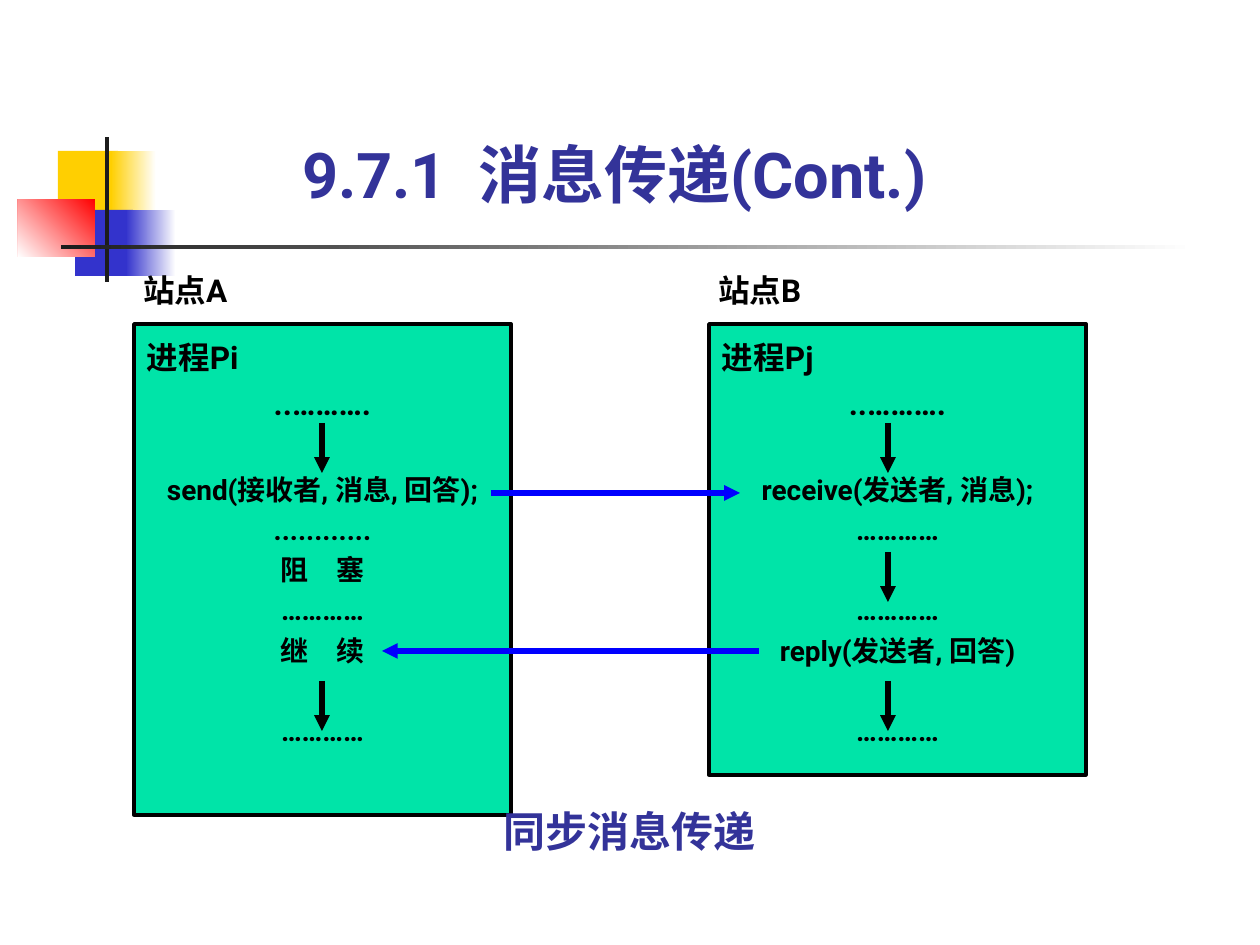
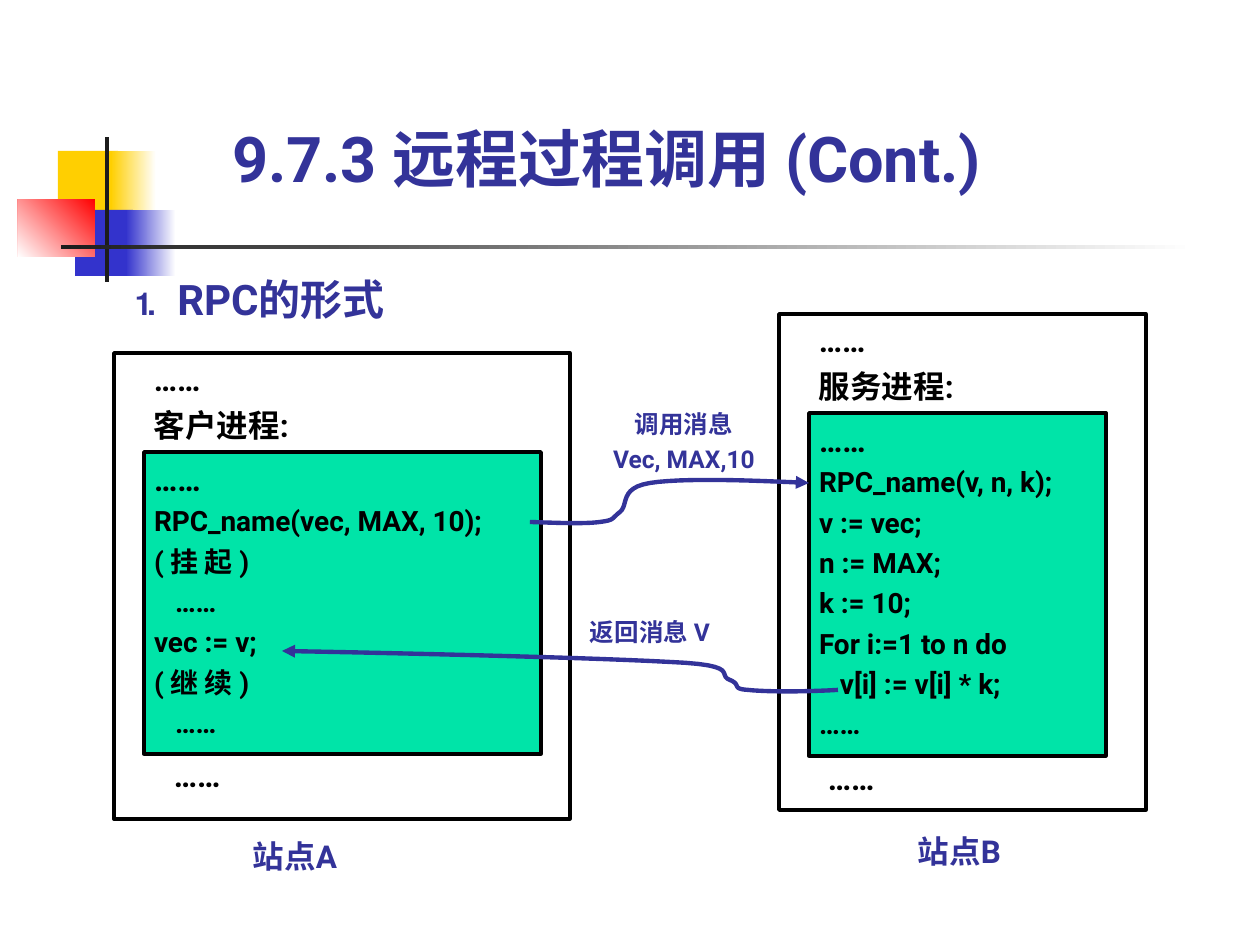
from pptx import Presentation
from pptx.dml.color import RGBColor
from pptx.enum.shapes import MSO_CONNECTOR, MSO_SHAPE
from pptx.enum.text import MSO_ANCHOR, MSO_AUTO_SIZE, PP_ALIGN
from pptx.oxml.xmlchemy import OxmlElement
from pptx.util import Inches, Pt

PX = Inches(1) / 126
FONT, SERIF = "Roboto", "Times New Roman"
NAVY, BLACK, BLUE, GREEN = "333399", "000000", "0000FF", "00E4A8"
WHITE, YELLOW, VIOLET, RED, DARK = "FFFFFF", "FFCF01", "3333CC", "FF0000", "1C1C1C"
LEFT, CENTER = PP_ALIGN.LEFT, PP_ALIGN.CENTER

BANDS = [
    ((58, 151, 60, 66), YELLOW, None),
    ((111, 151, 45, 66), (WHITE, YELLOW), 180),
    ((75, 210, 58, 66), VIOLET, None),
    ((126, 210, 50, 66), (WHITE, VIOLET), 180),
    ((18, 199, 77, 58), (RED, WHITE), 225),
    ((105, 137, 4, 145), DARK, None),
    ((61, 245, 1134, 4), (WHITE, DARK), 180),
]

MESSAGE_TITLE = [("9.7.1  消息传递(Cont.)", FONT)]
CALL_TITLE = [("9.7.3 ", FONT), ("远程过程调用 ", SERIF), ("(Cont.)", FONT)]


def line(text, size=16, align=LEFT, indent=0, before=0):
    return dict(text=text, size=size, align=align, indent=indent, before=before)


def mid(text, size=16, before=0):
    return line(text, size, CENTER, before=before)


BLANK_18, BLANK_16 = 25, 23
STATIONS = [
    dict(label="站点A", x=134, height=491, arrow_x=322, arrows=[423, 681], lines=[
        line("进程Pi", 18, indent=5), mid("..……….", 18),
        mid("send(接收者, 消息, 回答);", before=BLANK_18),
        mid("............"), mid("阻　塞"), mid("…………"), mid("继　续"),
        mid("…………", before=BLANK_16)]),
    dict(label="站点B", x=709, height=451, arrow_x=888, arrows=[423, 552, 681], lines=[
        line("进程Pj", 18, indent=5), mid("..……….", 18),
        mid("receive(发送者, 消息);", before=BLANK_18),
        mid("…………"), mid("…………", before=BLANK_16), mid("reply(发送者, 回答)"),
        mid("…………", before=BLANK_16)]),
]
MESSAGES = [((491, 493), (740, 493)), ((759, 651), (382, 651))]

PROCESSES = [
    dict(site="站点A", name="客户进程:", outer=(114, 353, 456, 466), inner=(397, 302),
         tail=(174, 748), label=(253, 829), lines=[
             line("……", 18), line("RPC_name(vec, MAX, 10);"), line("( 挂 起 )"),
             line("……", indent=21), line("vec := v;"), line("( 继 续 )"),
             line("……", indent=21)]),
    dict(site="站点B", name="服务进程:", outer=(779, 314, 367, 496), inner=(297, 343),
         tail=(828, 751), label=(918, 824), lines=[
             line("……", 18), line("RPC_name(v, n, k);"), line("v := vec;"),
             line("n := MAX;"), line("k := 10;"), line("For i:=1 to n do"),
             line("v[i] := v[i] * k;", indent=21), line("……")]),
]
NOTES = [
    ((590, 403, 188, 71), [mid("调用消息", 14), mid("Vec, MAX,10", 14)]),
    ((590, 611, 139, 35), [line("返回消息 V", 14)]),
]
CALL_CURVE = [(530, 522), (558, 523), (585, 524), (600, 522), (615, 520), (611, 519),
              (620, 512), (629, 505), (619, 488), (650, 483), (682, 478), (745, 480),
              (809, 483)]
RETURN_CURVE = [(838, 690), (803, 692), (767, 692), (748, 690), (731, 689), (742, 685),
                (730, 680), (716, 675), (743, 665), (669, 662), (595, 658), (438, 654),
                (282, 651)]


def px(*values):
    return [round(v * PX) for v in values]


def rgb(hex_text):
    return RGBColor.from_string(hex_text)


def write(sp, lines, color=BLACK, spacing=1.2, insets=(0, 0, 0, 0), wrap=True,
          anchor=MSO_ANCHOR.TOP):
    tf = sp.text_frame
    tf.auto_size = MSO_AUTO_SIZE.NONE
    tf.word_wrap = wrap
    tf.vertical_anchor = anchor
    tf.margin_left, tf.margin_top, tf.margin_right, tf.margin_bottom = px(*insets)
    for i, item in enumerate(lines):
        p = tf.paragraphs[0] if i == 0 else tf.add_paragraph()
        pPr = p._p.get_or_add_pPr()
        pPr.set("marL", str(px(item["indent"])[0]))
        pPr.set("indent", "0")
        pPr.append(OxmlElement("a:buNone"))
        p.alignment = item["align"]
        p.line_spacing = spacing
        p.space_before = Pt(item["before"])
        runs = item["text"]
        for text, font in [(runs, FONT)] if isinstance(runs, str) else runs:
            r = p.add_run()
            r.text = text
            r.font.name = font
            r.font.size = Pt(item["size"])
            r.font.bold = True
            r.font.color.rgb = rgb(color)


def place(sp, box):
    sp.left, sp.top, sp.width, sp.height = px(*box)


def add_text(s, box, lines, **style):
    write(s.shapes.add_textbox(*px(*box)), lines, **style)


def add_box(s, box, fill=None, border=None):
    sp = s.shapes.add_shape(MSO_SHAPE.RECTANGLE, *px(*box))
    sp.shadow.inherit = False
    if fill:
        sp.fill.solid()
        sp.fill.fore_color.rgb = rgb(fill)
    else:
        sp.fill.background()
    if border:
        sp.line.color.rgb = rgb(border)
        sp.line.width = Pt(2)
    else:
        sp.line.fill.background()
    return sp


def set_arrow(sp, color, width):
    sp.line.color.rgb = rgb(color)
    sp.line.width = Pt(width)
    end = OxmlElement("a:tailEnd")
    end.set("type", "triangle")
    sp.line._get_or_add_ln().append(end)


def add_arrow(s, start, end, color):
    sp = s.shapes.add_connector(MSO_CONNECTOR.STRAIGHT, *px(*start, *end))
    set_arrow(sp, color, 3)
    sp._element.spPr.append(OxmlElement("a:effectLst"))


def add_curve(s, points, steps=12):
    track = []
    for i in range(0, len(points) - 1, 3):
        for n in range(1, steps + 1):
            t = n / steps
            weights = ((1 - t) ** 3, 3 * t * (1 - t) ** 2, 3 * t * t * (1 - t), t ** 3)
            knots = points[i:i + 4]
            track.append(px(*(sum(w * k[axis] for w, k in zip(weights, knots))
                              for axis in (0, 1))))
    builder = s.shapes.build_freeform(*px(*points[0]))
    builder.add_line_segments(track, close=False)
    sp = builder.convert_to_shape()
    sp.shadow.inherit = False
    sp.fill.background()
    set_arrow(sp, NAVY, 2.5)


def add_bands(prs, s):
    tree = prs.slide_master.element.cSld.spTree
    for i, (box, color, angle) in enumerate(BANDS):
        sp = add_box(s, box, color if angle is None else None)
        if angle is not None:
            sp.fill.gradient()
            sp.fill.gradient_angle = angle
            for stop, shade in zip(sp.fill.gradient_stops, color):
                stop.color.rgb = rgb(shade)
        sp._element.nvSpPr.cNvPr.set("id", str(100 + i))
        tree.insert(2 + i, sp._element)


def add_title(s, box, runs, spacing):
    place(s.shapes.title, box)
    write(s.shapes.title, [line(runs, 36)], color=NAVY, spacing=spacing,
          anchor=MSO_ANCHOR.BOTTOM)


def build_message_slide(s):
    add_title(s, (302, 135, 684, 76), MESSAGE_TITLE, 1.0)
    pad = (13, 6, 13, 6)
    for st in STATIONS:
        x = st["x"]
        sp = add_box(s, (x, 324, 377, st["height"]), GREEN, BLACK)
        write(sp, st["lines"], insets=(8, 7, 8, 26))
        add_text(s, (x - 4, 265, 117, 50), [line(st["label"], 18)],
                 spacing=1.0, insets=pad, wrap=False)
        for y in st["arrows"]:
            add_arrow(s, (st["arrow_x"], y), (st["arrow_x"], y + 50), BLACK)
    for start, end in MESSAGES:
        add_arrow(s, start, end, BLUE)
    add_text(s, (491, 800, 278, 63), [line("同步消息传递", 24)],
             color=NAVY, spacing=1.0, insets=pad)


def build_call_slide(s):
    add_title(s, (232, 121, 834, 74), CALL_TITLE, 0.8)
    body = s.placeholders[1]
    place(body, (124, 283, 287, 40))
    write(body, [line("⒈ RPC的形式", 24)], color=NAVY, spacing=0.8)
    for pr in PROCESSES:
        x, y = pr["outer"][:2]
        add_box(s, pr["outer"], border=BLACK)
        add_text(s, (x + 40, y, 149, 91), [line("……", 18), line(pr["name"], 18)])
        sp = add_box(s, (x + 30, y + 99, *pr["inner"]), GREEN, BLACK)
        write(sp, pr["lines"], insets=(10, 0, 10, 15))
        add_text(s, (*pr["tail"], 89, 45), [line("……", 18)])
        add_text(s, (*pr["label"], 89, 91), [line(pr["site"], 18)], color=NAVY)
    for box, lines in NOTES:
        add_text(s, box, lines, color=NAVY)
    for points in (CALL_CURVE, RETURN_CURVE):
        add_curve(s, points)


def main():
    prs = Presentation()
    prs.slide_width, prs.slide_height = Inches(10), Inches(7.5)
    s = prs.slides.add_slide(prs.slide_layouts[5])
    add_bands(prs, s)
    build_message_slide(s)
    build_call_slide(prs.slides.add_slide(prs.slide_layouts[1]))
    prs.save("out.pptx")


if __name__ == "__main__":
    main()
